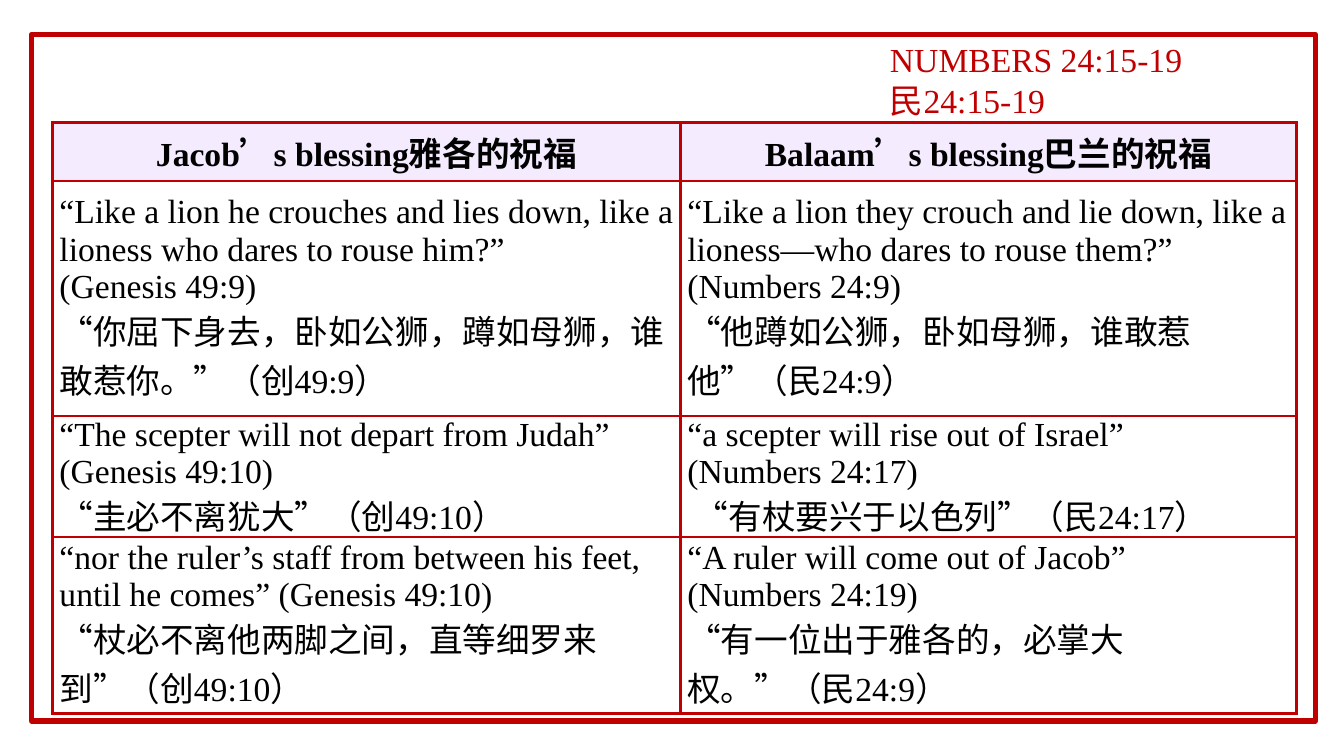
from dataclasses import dataclass

from lxml import etree
from pptx import Presentation
from pptx.dml.color import RGBColor
from pptx.enum.shapes import MSO_SHAPE
from pptx.enum.text import MSO_ANCHOR, MSO_AUTO_SIZE, PP_ALIGN
from pptx.oxml.ns import qn
from pptx.util import Pt

RECTANGLE = MSO_SHAPE.RECTANGLE
LEFT, CENTER = PP_ALIGN.LEFT, PP_ALIGN.CENTER
TOP, MIDDLE = MSO_ANCHOR.TOP, MSO_ANCHOR.MIDDLE
GROW = MSO_AUTO_SIZE.SHAPE_TO_FIT_TEXT

TYPEFACE = "Times New Roman"
RED, BLACK, LILAC = "C00000", "000000", "F4EBFF"
TITLE_ONLY = 5
COLUMN_WIDTHS = (448.5, 440)


@dataclass(frozen=True)
class Comparison:
    height: float
    jacob: str
    balaam: str
    heading: bool = False


COMPARISONS = (
    Comparison(42, "Jacob’s blessing雅各的祝福", "Balaam’s blessing巴兰的祝福", True),
    Comparison(
        168,
        "“Like a lion he crouches and lies down, like a lioness who dares to rouse him?”\n"
        "(Genesis 49:9)\n"
        "“你屈下身去，卧如公狮，蹲如母狮，谁敢惹你。”（创49:9）",
        "“Like a lion they crouch and lie down, like a lioness—who dares to rouse them?” "
        "(Numbers 24:9)\n"
        "“他蹲如公狮，卧如母狮，谁敢惹他”（民24:9）",
    ),
    Comparison(
        84,
        "“The scepter will not depart from Judah” (Genesis 49:10)\n"
        "“圭必不离犹大”（创49:10）",
        "“a scepter will rise out of Israel”\n"
        "(Numbers 24:17)\n"
        " “有杖要兴于以色列”（民24:17）",
    ),
    Comparison(
        126,
        "“nor the ruler’s staff from between his feet, until he comes” (Genesis 49:10)\n"
        "“杖必不离他两脚之间，直等细罗来到”（创49:10）",
        "“A ruler will come out of Jacob”\n"
        "(Numbers 24:19)\n"
        "“有一位出于雅各的，必掌大权。”（民24:9）",
    ),
)


def color(value: str) -> RGBColor:
    return RGBColor.from_string(value)


def write(frame, wording: str, ink: str, align, bold: bool = False) -> None:
    frame.text = wording
    for paragraph in frame.paragraphs:
        paragraph.alignment = align
        for run in paragraph.runs:
            run.font.name = TYPEFACE
            run.font.size = Pt(24)
            run.font.bold = bold
            run.font.color.rgb = color(ink)


def add_reference(slide) -> None:
    reference = slide.shapes.title
    reference.left, reference.top = Pt(628.5), Pt(24.5)
    reference.width, reference.height = Pt(225.5), Pt(65.5)
    frame = reference.text_frame
    write(frame, "NUMBERS 24:15-19\n民24:15-19", RED, LEFT)
    frame.word_wrap = False
    frame.auto_size = GROW
    frame.vertical_anchor = TOP


def add_border(slide) -> None:
    border = slide.shapes.add_shape(RECTANGLE, Pt(22.5), Pt(24.5), Pt(917), Pt(490.5))
    border.shadow.inherit = False
    border.fill.background()
    border.line.color.rgb = color(RED)
    border.line.width = Pt(3.75)


def outline(cell) -> None:
    properties = cell._tc.get_or_add_tcPr()
    for side in ("lnL", "lnR", "lnT", "lnB"):
        edge = etree.SubElement(properties, qn(f"a:{side}"), w=str(Pt(2.25)))
        solid = etree.SubElement(edge, qn("a:solidFill"))
        etree.SubElement(solid, qn("a:srgbClr"), val=RED)


def fill_cell(cell, wording: str, heading: bool) -> None:
    cell.vertical_anchor = MIDDLE
    cell.margin_left = cell.margin_right = Pt(5)
    cell.margin_top = cell.margin_bottom = Pt(0)
    write(cell.text_frame, wording, BLACK, CENTER if heading else LEFT, heading)
    outline(cell)
    if heading:
        cell.fill.solid()
        cell.fill.fore_color.rgb = color(LILAC)
    else:
        cell.fill.background()


def add_blessings(slide) -> None:
    height = sum(comparison.height for comparison in COMPARISONS)
    blessings = slide.shapes.add_table(
        len(COMPARISONS), len(COLUMN_WIDTHS),
        Pt(37.5), Pt(87.25), Pt(sum(COLUMN_WIDTHS)), Pt(height),
    ).table
    blessings.first_row = blessings.horz_banding = False
    for column, width in zip(blessings.columns, COLUMN_WIDTHS):
        column.width = Pt(width)
    for row, comparison in zip(blessings.rows, COMPARISONS):
        row.height = Pt(comparison.height)
        for cell, wording in zip(row.cells, (comparison.jacob, comparison.balaam)):
            fill_cell(cell, wording, comparison.heading)


def main() -> None:
    deck = Presentation()
    deck.slide_width, deck.slide_height = Pt(960), Pt(540)
    slide = deck.slides.add_slide(deck.slide_layouts[TITLE_ONLY])
    add_reference(slide)
    add_border(slide)
    add_blessings(slide)
    deck.save("out.pptx")


if __name__ == "__main__":
    main()
